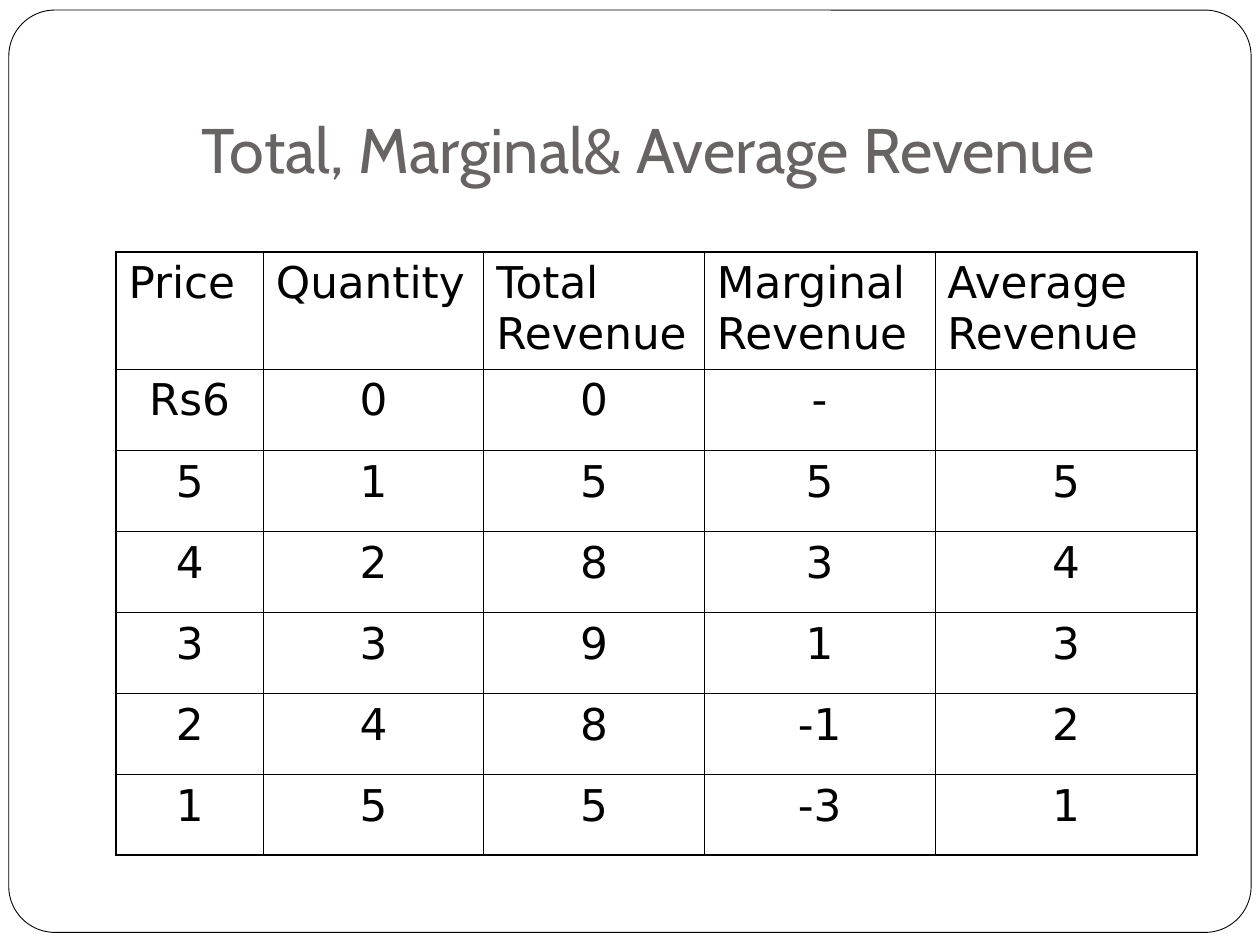
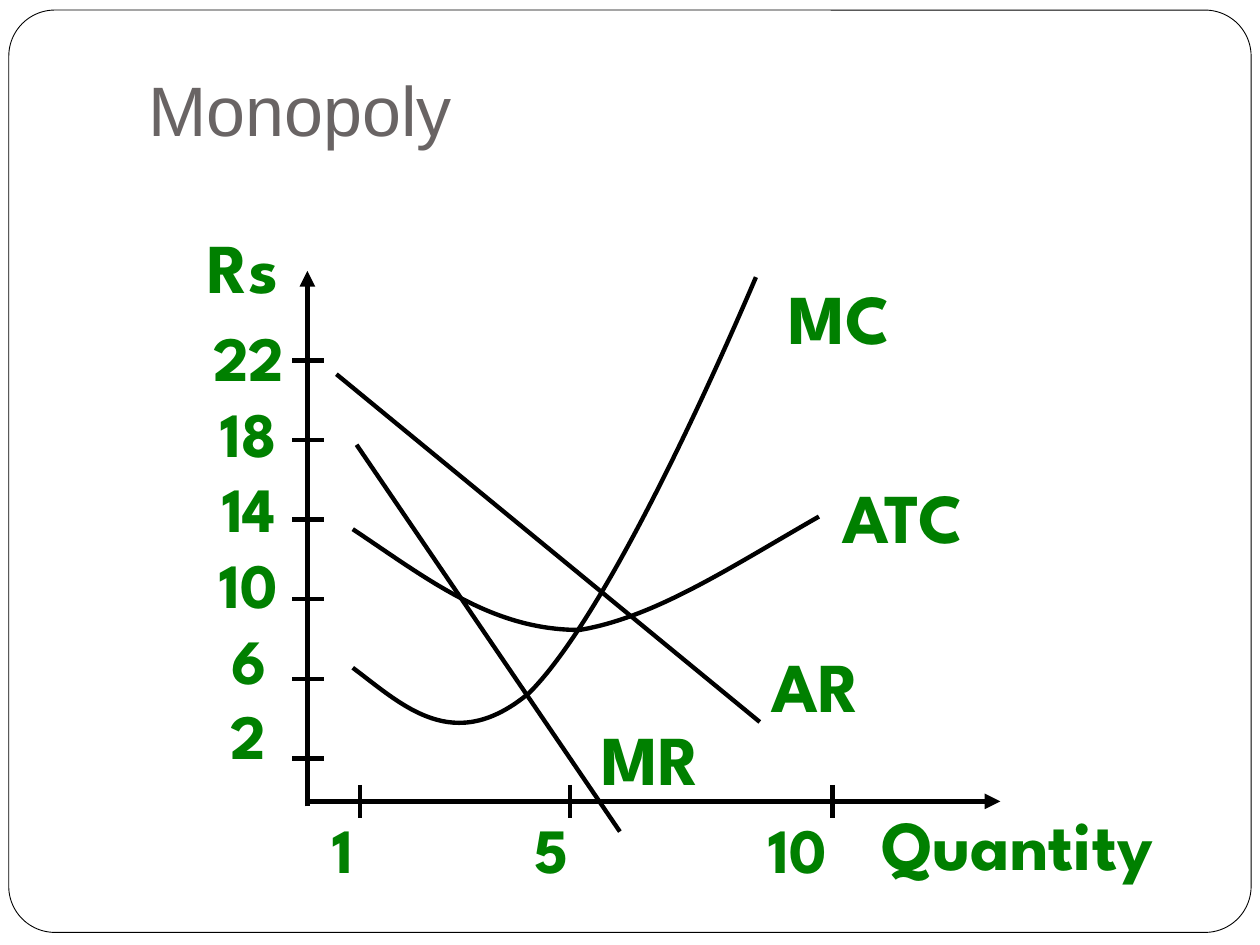
"""Build two slides on monopoly revenue: a revenue table and a cost and revenue diagram."""
from itertools import product

from lxml import etree
from pptx import Presentation, util as u
from pptx.dml.color import RGBColor
from pptx.enum import shapes, text
from pptx.oxml.ns import qn

BLACK, WHITE, GREY, GREEN = "000000", "FFFFFF", "696464", "008000"
LEFT, CENTER = text.PP_ALIGN.LEFT, text.PP_ALIGN.CENTER
MIDDLE, BOTTOM = text.MSO_ANCHOR.MIDDLE, text.MSO_ANCHOR.BOTTOM

deck = Presentation()
deck.slide_width, deck.slide_height = u.Inches(10), u.Inches(7.5)
SQUARE = deck.slide_width // 100  # the grid has 100 columns and 75 rows


def paint(fill, colour):
    """Fill a shape, line or font with a hex colour."""
    fill.solid()
    fill.fore_color.rgb = RGBColor.from_string(colour)


def write(frame, lines, style, align, space=0):
    """Write one paragraph per line in a style of face, size, bold and colour."""
    face, size, bold, colour = style
    for number, line in enumerate(lines):
        paragraph = frame.add_paragraph() if number else frame.paragraphs[0]
        paragraph.alignment, paragraph.space_before = align, u.Pt(space)
        font_format = {"name": face, "size": u.Pt(size), "bold": bold}
        run = paragraph.add_run()
        run.text = line
        for key, value in font_format.items():
            setattr(run.font, key, value)
        paint(run.font.fill, colour)


revenue, monopoly = [deck.slides.add_slide(deck.slide_layouts[6]) for _ in range(2)]
for slide in (revenue, monopoly):
    frame = slide.shapes.add_shape(
        shapes.MSO_SHAPE.ROUNDED_RECTANGLE, *[round(n * SQUARE) for n in (0.7, 0.8, 98.6, 73.2)])
    frame.adjustments[0] = 0.05
    frame.shadow.inherit = False
    frame.line.width = u.Pt(0.5)
    paint(frame.fill, WHITE)
    paint(frame.line.fill, BLACK)

figures = [
    ("Price", "Quantity", "Total Revenue", "Marginal Revenue", "Average Revenue"),
    ("Rs6", "0", "0", "-", ""),
    ("5", "1", "5", "5", "5"),
    ("4", "2", "8", "3", "4"),
    ("3", "3", "9", "1", "3"),
    ("2", "4", "8", "-1", "2"),
    ("1", "5", "5", "-3", "1"),
]
widths = [11.7, 17.5, 17.5, 18.3, 20.8]
heights = [9.3] + [6.43] * 6
last_row, last_column = len(heights) - 1, len(widths) - 1
table = revenue.shapes.add_table(
    len(heights), len(widths),
    *[round(n * SQUARE) for n in (9.2, 20, sum(widths), sum(heights))]).table
table.first_row = table.horz_banding = False
for column, width in zip(table.columns, widths):
    column.width = round(width * SQUARE)
for row, height in zip(table.rows, heights):
    row.height = round(height * SQUARE)

for r, c in product(range(len(heights)), range(len(widths))):
    cell = table.cell(r, c)
    cell.fill.background()
    if figures[r][c]:
        write(cell.text_frame, [figures[r][c]], ("DejaVu Sans", 25, False, BLACK),
              CENTER if r else LEFT, 6.2)
    outer_sides = {"L": c == 0, "R": c == last_column, "T": r == 0, "B": r == last_row}
    properties = cell._tc.get_or_add_tcPr()
    for place, (side, outer) in enumerate(outer_sides.items()):
        border = etree.Element(qn(f"a:ln{side}"), w=str(u.Pt(1.08 if outer else 0.45)))
        solid = etree.SubElement(border, qn("a:solidFill"))
        etree.SubElement(solid, qn("a:srgbClr"), val=BLACK)
        properties.insert(place, border)

axis_x, axis_y = 24.4, 63.6
quantities = {"1": 27.2, "5": 43.8, "10": 63.3}
prices = ["22", "18", "14", "10", "6", "2"]
quantity_ticks = [axis_x + int(q) * 50 / 12 for q in quantities]
price_ticks = [28.6 + 6.32 * n for n in range(len(prices))]

axes = [(axis_x, axis_y, 79.4, axis_y), (axis_x, 64, axis_x, 21.5)]
average_revenue, marginal_revenue = (26.7, 29.7, 60.3, 57.3), (28.3, 35.3, 49.2, 66)
ticks = [(x, 62.3, x, 64.9) for x in quantity_ticks]
ticks += [(23.2, y, 25.7, y) for y in price_ticks]
for ends in axes + [average_revenue, marginal_revenue] + ticks:
    line = monopoly.shapes.add_connector(
        shapes.MSO_CONNECTOR.STRAIGHT, *[round(n * SQUARE) for n in ends])
    line.line.width = u.Pt(3 if ends in axes else 2.5)
    paint(line.line.fill, BLACK)
    if ends in axes:
        etree.SubElement(line.line._get_or_add_ln(), qn("a:tailEnd"), type="triangle")
    etree.SubElement(line._element.spPr, qn("a:effectLst"))

marginal_cost = [(27.5, 53), (31.9, 56.4), (36.2, 59.8), (41.7, 54.7),
                 (47.1, 49.5), (53.5, 35.8), (60, 22.2)]
average_total_cost = [(28.3, 42.5), (33.9, 46.1), (39.4, 49.8), (45.5, 49.6),
                      (51.6, 49.4), (58.3, 45.4), (65, 41.3)]
for start, *controls in (marginal_cost, average_total_cost):
    builder = monopoly.shapes.build_freeform(*start, scale=SQUARE)
    builder.add_line_segments(controls, close=False)
    curve = builder.convert_to_shape()
    curve.shadow.inherit = False
    curve.fill.background()
    curve.line.width = u.Pt(2.5)
    paint(curve.line.fill, BLACK)
    outline = curve._element.find(".//" + qn("a:path"))
    segments = outline.findall(qn("a:lnTo"))
    for n in range(0, len(segments), 3):
        bezier = etree.SubElement(outline, qn("a:cubicBezTo"))
        for segment in segments[n:n + 3]:
            bezier.append(segment[0])
            outline.remove(segment)

curve_style = ("League Spartan", 40, True, GREEN)
scale_style = ("League Spartan", 36, True, GREEN)
captions = [
    (revenue, (15, 3.3, 80, 12.5), ["Total, Marginal& Average Revenue"],
     ("Cabin", 36, False, GREY), LEFT, BOTTOM),
    (monopoly, (10.8, 4.2, 72.5, 8.8), ["Monopoly"], ("Arial", 40, False, GREY), LEFT, MIDDLE),
    (monopoly, (15.8, 24.8, 7.9, 37), prices, scale_style, CENTER, MIDDLE),
]
curve_names = {
    "Rs": (15.1, 17.2, 8.4), "Quantity": (67.4, 63, 26.7), "AR": (60, 50.5, 9.5),
    "MR": (45, 56.3, 13.3), "MC": (60, 21.3, 13.3), "ATC": (63.3, 37.1, 16.7),
}
captions += [(monopoly, (*place, 7.7), [name], curve_style, CENTER, MIDDLE)
             for name, place in curve_names.items()]
captions += [(monopoly, (x - 4, 63.8, 8, 7), [quantity], scale_style, CENTER, MIDDLE)
             for quantity, x in quantities.items()]

for slide, place, lines, style, align, anchor in captions:
    caption = slide.shapes.add_textbox(*[round(n * SQUARE) for n in place]).text_frame
    frame_format = {
        "word_wrap": align == LEFT,
        "vertical_anchor": anchor,
        "margin_bottom": u.Inches(0.1 if anchor == BOTTOM else 0.05),
    }
    for key, value in frame_format.items():
        setattr(caption, key, value)
    write(caption, lines, style, align)

deck.save("out.pptx")
